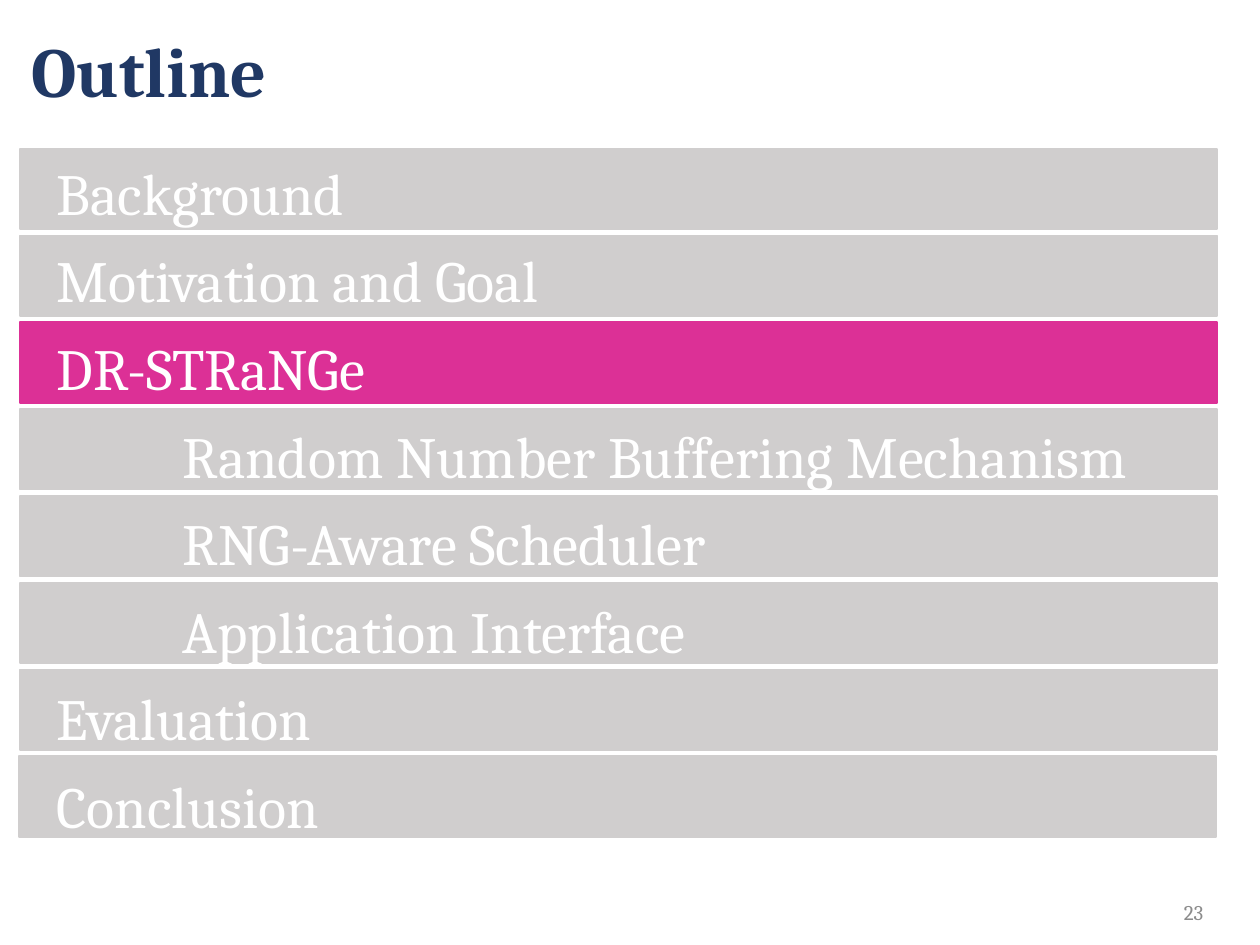
import pptx
import pptx.util
import pptx.dml.color
import pptx.enum.shapes
import pptx.enum.text
import pptx.oxml.ns
import lxml.etree

Pt = pptx.util.Pt
ALIGN = pptx.enum.text.PP_ALIGN
NAVY = pptx.dml.color.RGBColor(0x20, 0x38, 0x64)
GRAY = pptx.dml.color.RGBColor(0xD0, 0xCE, 0xCE)
PINK = pptx.dml.color.RGBColor(0xDC, 0x30, 0x96)
WHITE = pptx.dml.color.RGBColor(0xFF, 0xFF, 0xFF)
NUMBER_GRAY = pptx.dml.color.RGBColor(0x8C, 0x8C, 0x8C)


def write(para, text, size, color, bold=False, align=ALIGN.LEFT, spacing=None):
    para.alignment = align
    para.line_spacing = spacing
    span = para.add_run()
    span.text = text
    span.font.name = "Cambria"
    span.font.size = Pt(size)
    span.font.bold = bold
    span.font.color.rgb = color


def place(box, left, top, width, height):
    box.left, box.top, box.width, box.height = Pt(left), Pt(top), Pt(width), Pt(height)
    box.text_frame.word_wrap = True
    box.text_frame.auto_size = pptx.enum.text.MSO_AUTO_SIZE.NONE


deck = pptx.Presentation()
deck.slide_width, deck.slide_height = Pt(720), Pt(540)
page = deck.slides.add_slide(deck.slide_layouts[1])

title = page.shapes.title
place(title, 10.8, 0, 700.6, 85.7)
title.text_frame.vertical_anchor = pptx.enum.text.MSO_ANCHOR.MIDDLE
write(title.text_frame.paragraphs[0], "Outline", 40, NAVY, bold=True, spacing=0.9)

number = page.shapes.add_textbox(0, 0, 0, 0)
place(number, 661, 513.4, 33.8, 15.8)
number.text_frame.vertical_anchor = pptx.enum.text.MSO_ANCHOR.MIDDLE
write(number.text_frame.paragraphs[0], "23", 12, NUMBER_GRAY, align=ALIGN.RIGHT)

topics = [
    ("Background", 0),
    ("Motivation and Goal", 0),
    ("DR-STRaNGe", 0),
    ("Random Number Buffering Mechanism", 72),
    ("RNG-Aware Scheduler", 72),
    ("Application Interface", 72),
    ("Evaluation", 0),
    ("Conclusion", 0),
]
current = "DR-STRaNGe"

body = page.placeholders[1]
place(body, 25.2, 82.8, 669.6, 403.2)
body.text_frame.margin_top = Pt(7)
body.text_frame.vertical_anchor = pptx.enum.text.MSO_ANCHOR.TOP

for index, (topic, indent) in enumerate(topics):
    left = 10.8 if topic == "Conclusion" else 11.5
    bar = page.shapes.add_shape(
        pptx.enum.shapes.MSO_SHAPE.RECTANGLE, Pt(left), Pt(85 + 49.6 * index), Pt(684), Pt(46))
    color = PINK if topic == current else GRAY
    bar.shadow.inherit = False
    bar.fill.solid()
    bar.fill.fore_color.rgb = color
    bar.line.color.rgb = color
    bar.line.width = Pt(1)

    para = body.text_frame.paragraphs[0] if index == 0 else body.text_frame.add_paragraph()
    properties = para._p.get_or_add_pPr()
    properties.set("marL", str(Pt(indent)))
    properties.set("indent", "0")
    lxml.etree.SubElement(properties, pptx.oxml.ns.qn("a:buNone"))
    para.space_before = Pt(10 if index else 0)
    write(para, topic, 33.3, WHITE, spacing=Pt(40))

body.element.getparent().append(body.element)

deck.save("out.pptx")
